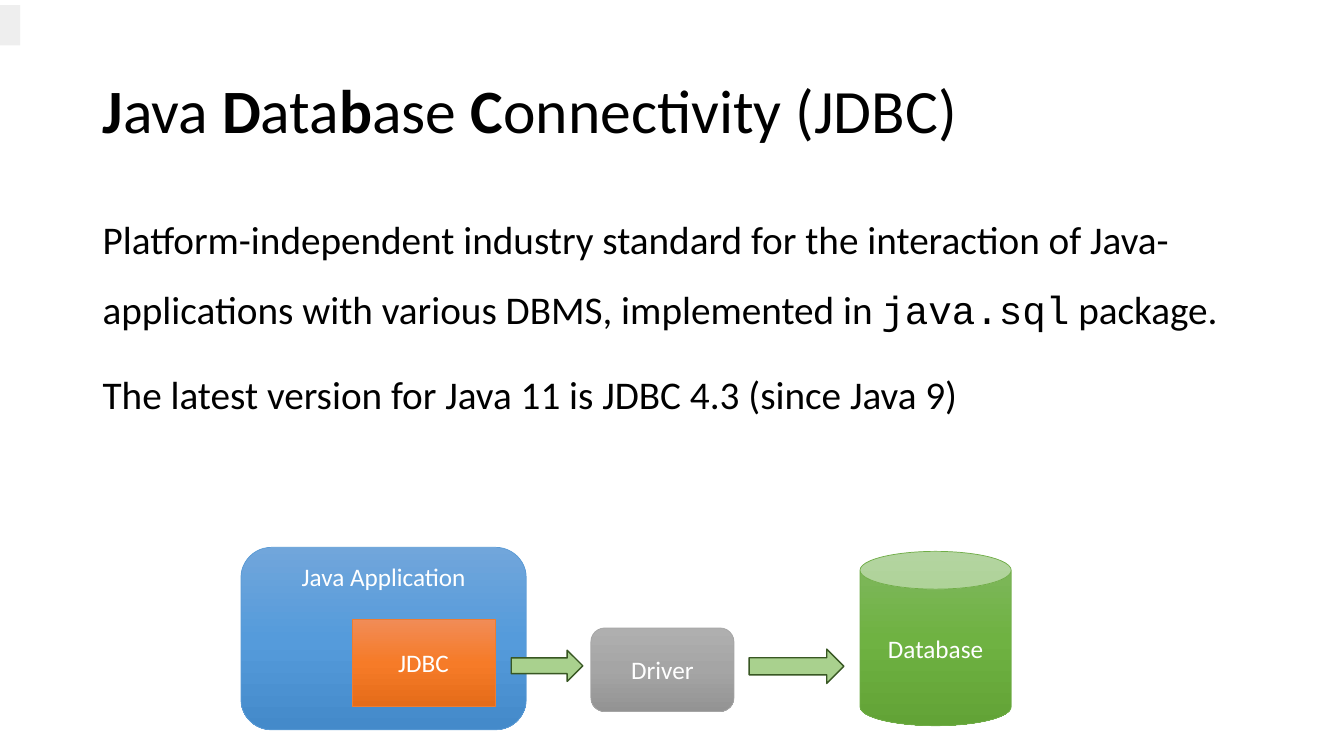
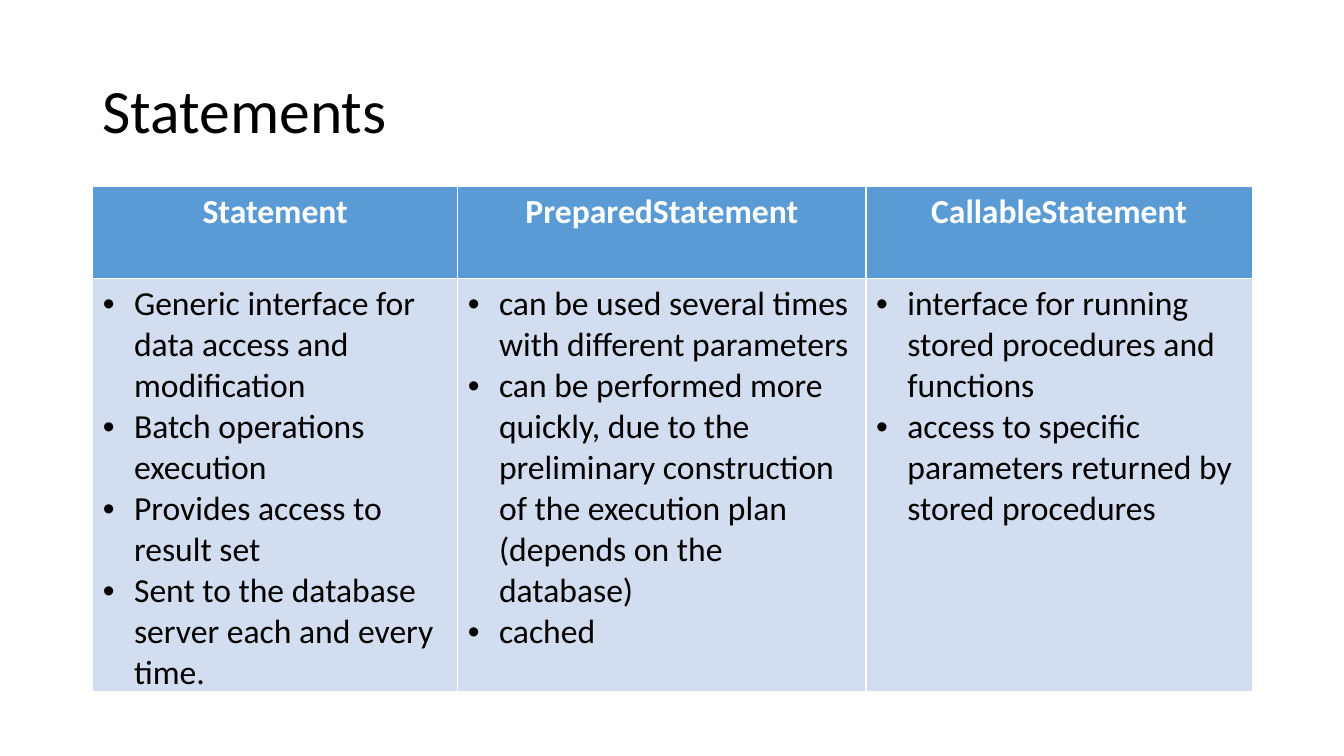
from copy import deepcopy
from dataclasses import dataclass
from typing import NamedTuple

from lxml.etree import SubElement
from pptx import Presentation
from pptx.dml.color import RGBColor
from pptx.enum.shapes import MSO_SHAPE
from pptx.enum.text import MSO_ANCHOR, PP_ALIGN
from pptx.oxml.ns import qn
from pptx.util import Emu, Inches, Pt

# Shared look
FONT, CODE = "Calibri", "Courier New"
BLACK, WHITE = "000000", "FFFFFF"
HEAD, BODY, SHADE = "5B9BD5", "D2DEEF", "EEEEEE"
LEAF, PINE = "A9D18E", "385723"
CELL = 0.1  # side of one grid square, in inches
LEFT, WIDE, TOP = 9.2, 115, 18.5  # content area, in grid squares


class Run(NamedTuple):
    text: str
    bold: bool = False
    font: str = FONT


class Area(NamedTuple):
    col: float
    row: float
    cols: float
    rows: float


@dataclass
class Node:
    """A labelled part of the diagram."""
    text: str
    kind: MSO_SHAPE
    area: Area
    fade: tuple[str, str, str]
    edge: str
    anchor: MSO_ANCHOR = MSO_ANCHOR.MIDDLE


@dataclass
class Column:
    """A table column with its heading and bullet points."""
    head: str
    width: float
    items: list[str]


NODES = [
    Node("Java Application", MSO_SHAPE.ROUNDED_RECTANGLE, Area(23.9, 54.3, 28.3, 18.1),
         ("71A6DB", "559BDB", "448ACA"), "5B9BD5", MSO_ANCHOR.TOP),
    Node("JDBC", MSO_SHAPE.RECTANGLE, Area(34.9, 61.4, 14.2, 8.7),
         ("F18C57", "F67B28", "E56C19"), "ED7D31"),
    Node("Driver", MSO_SHAPE.ROUNDED_RECTANGLE, Area(58.6, 62.3, 14.2, 8.3),
         ("AFAFAF", "A5A5A5", "939393"), "A5A5A5"),
    Node("Database", MSO_SHAPE.CAN, Area(85.3, 54.7, 15, 17.3),
         ("81B861", "6FB242", "62A336"), "70AD47"),
]
ARROWS = [Area(50.7, 64.5, 7.1, 3.1), Area(74.3, 64.4, 9.4, 3.4)]

COLUMNS = [
    Column("Statement", 36.2, [
        "Generic interface for data access and modification",
        "Batch operations execution",
        "Provides access to result set",
        "Sent to the database server each and every time."]),
    Column("PreparedStatement", 40.5, [
        "can be used several times with different parameters",
        "can be performed more quickly, due to the preliminary construction "
        "of the execution plan (depends on the database)",
        "cached"]),
    Column("CallableStatement", 38.3, [
        "interface for running stored procedures and functions",
        "access to specific parameters returned by stored procedures"]),
]


def hue(code: str) -> RGBColor:
    return RGBColor.from_string(code)


def size(count: float) -> Emu:
    return Inches(count * CELL)


def place(area: Area) -> list[Emu]:
    return [size(count) for count in area]


def write(para, runs: list[Run], points: float, color: str = BLACK) -> None:
    for item in runs:
        run = para.add_run()
        run.text = item.text
        font = run.font
        font.name, font.size, font.bold = item.font, Pt(points), item.bold
        font.color.rgb = hue(color)


def next_para(frame, index: int):
    return frame.add_paragraph() if index else frame.paragraphs[0]


def add_text(slide, area: Area, paras: list[list[Run]], points: float,
             spacing: float, anchor: MSO_ANCHOR = MSO_ANCHOR.TOP) -> None:
    frame = slide.shapes.add_textbox(*place(area)).text_frame
    frame.word_wrap = True
    frame.vertical_anchor = anchor
    for index, runs in enumerate(paras):
        para = next_para(frame, index)
        para.line_spacing = spacing
        if index:
            para.space_before = Pt(10)
        write(para, runs, points)


def new_slide(deck, title: list[Run]):
    slide = deck.slides.add_slide(deck.slide_layouts[6])
    add_text(slide, Area(LEFT, 4, WIDE, 14.5), [title], 44, 0.9, MSO_ANCHOR.MIDDLE)
    return slide


def add_shape(slide, kind: MSO_SHAPE, area: Area, fill: str = "",
              edge: str = "", weight: float = 1):
    shape = slide.shapes.add_shape(kind, *place(area))
    shape.shadow.inherit = False
    if fill:
        shape.fill.solid()
        shape.fill.fore_color.rgb = hue(fill)
    if edge:
        shape.line.color.rgb = hue(edge)
        shape.line.width = Pt(weight)
    else:
        shape.line.fill.background()
    return shape


def add_fade(shape, colors: tuple[str, str, str]) -> None:
    """Fill from top to bottom with evenly spaced colours."""
    fill = shape.fill
    fill.gradient()
    fill.gradient_angle = 270
    stops = shape._element.spPr.find(qn("a:gradFill")).find(qn("a:gsLst"))
    stops.append(deepcopy(stops[0]))
    for index, (stop, code) in enumerate(zip(fill.gradient_stops, colors)):
        stop.color.rgb = hue(code)
        stop.position = index / (len(colors) - 1)


def add_node(slide, node: Node) -> None:
    shape = add_shape(slide, node.kind, node.area, edge=node.edge, weight=0.5)
    add_fade(shape, node.fade)
    frame = shape.text_frame
    frame.word_wrap = True
    frame.vertical_anchor = node.anchor
    para = frame.paragraphs[0]
    para.alignment = PP_ALIGN.CENTER
    write(para, [Run(node.text)], 18, WHITE)


def add_bullet(para) -> None:
    props = para._p.get_or_add_pPr()
    indent = Inches(0.31)
    props.set("marL", str(indent))
    props.set("indent", str(-indent))
    SubElement(props, qn("a:buFont")).set("typeface", "Arial")
    SubElement(props, qn("a:buChar")).set("char", "•")


def paint(cell, fill: str) -> None:
    """Give a cell its white borders and its fill."""
    props = cell._tc.get_or_add_tcPr()
    for side in ("lnL", "lnR", "lnT", "lnB"):
        line = SubElement(props, qn(f"a:{side}"), w=str(Pt(1)))
        solid = SubElement(line, qn("a:solidFill"))
        SubElement(solid, qn("a:srgbClr")).set("val", WHITE)
    cell.fill.solid()
    cell.fill.fore_color.rgb = hue(fill)


def add_grid(slide, columns: list[Column], rows: tuple[float, float]) -> None:
    area = Area(LEFT, TOP, WIDE, sum(rows))
    table = slide.shapes.add_table(len(rows), len(columns), *place(area)).table
    table.horz_banding = False
    for row, height in zip(table.rows, rows):
        row.height = size(height)
    for index, column in enumerate(columns):
        table.columns[index].width = size(column.width)
        head, body = table.cell(0, index), table.cell(1, index)
        paint(head, HEAD)
        paint(body, BODY)
        para = head.text_frame.paragraphs[0]
        para.alignment = PP_ALIGN.CENTER
        write(para, [Run(column.head, True)], 24, WHITE)
        for place_no, item in enumerate(column.items):
            para = next_para(body.text_frame, place_no)
            add_bullet(para)
            write(para, [Run(item)], 24)


def main() -> None:
    deck = Presentation()
    deck.slide_width, deck.slide_height = Inches(13.33), Inches(7.5)

    # JDBC: text above a diagram
    slide = new_slide(deck, [
        Run("J", True), Run("ava "), Run("D", True), Run("ata"), Run("b", True),
        Run("ase "), Run("C", True), Run("onnectivity (JDBC)")])
    add_text(slide, Area(LEFT, TOP, WIDE, 53.9), [
        [Run("Platform-independent industry standard for the interaction of "
             "Java-applications with various DBMS, implemented in "),
         Run("java.sql", font=CODE), Run(" package.")],
        [Run("The latest version for Java 11 is JDBC 4.3 (since Java 9)")],
    ], 28, 1.5)
    add_shape(slide, MSO_SHAPE.RECTANGLE, Area(0, 0.5, 2, 4), SHADE)
    for node in NODES:
        add_node(slide, node)
    for area in ARROWS:
        add_shape(slide, MSO_SHAPE.RIGHT_ARROW, area, LEAF, PINE)

    # Statements: table of three kinds
    slide = new_slide(deck, [Run("Statements")])
    add_grid(slide, COLUMNS, (9.1, 41))

    deck.save("out.pptx")


if __name__ == "__main__":
    main()
